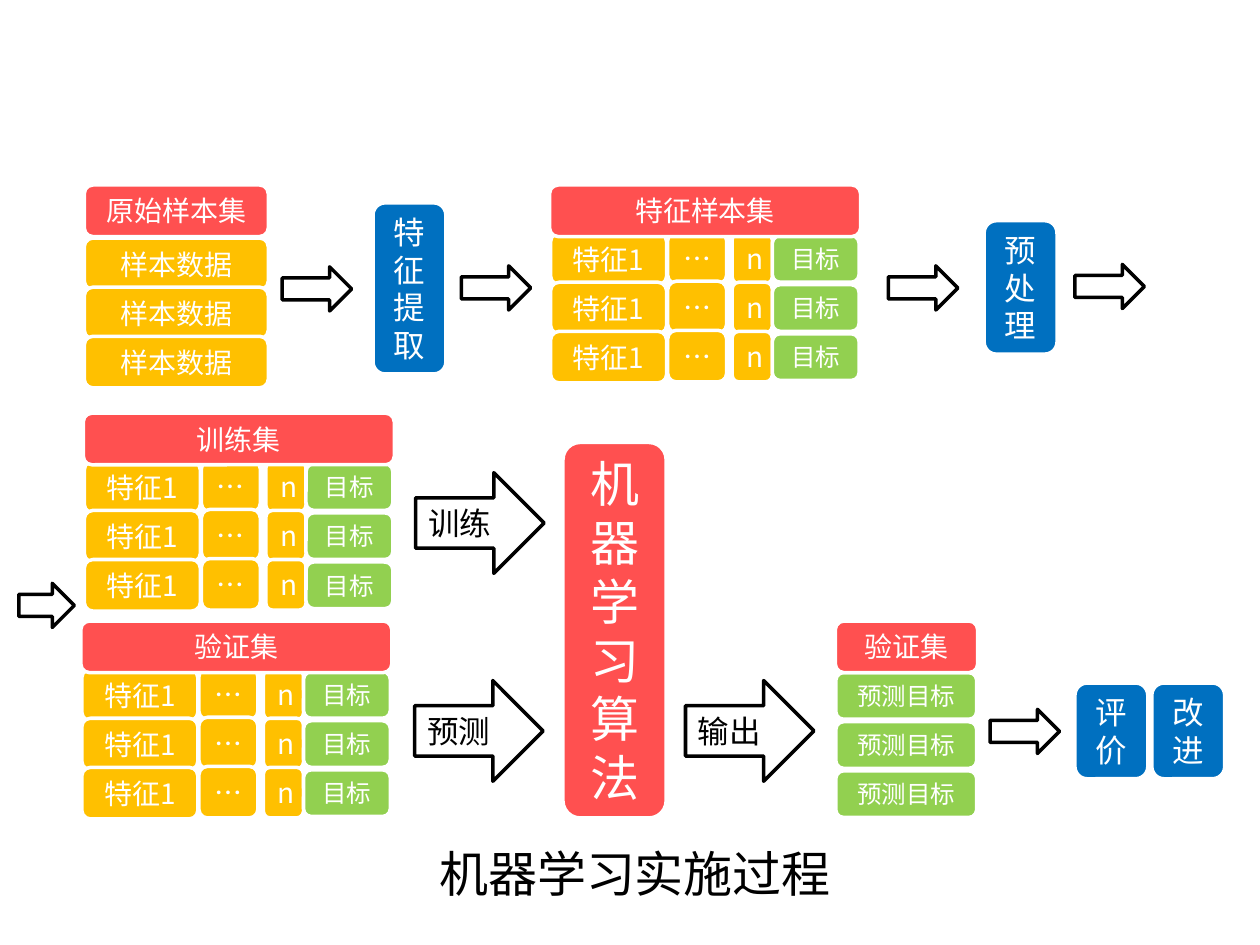
from pptx import Presentation
from pptx.dml.color import RGBColor
from pptx.enum.shapes import MSO_SHAPE as Preset
from pptx.enum.text import MSO_ANCHOR as Anchor, PP_ALIGN as Align
from pptx.oxml.ns import qn
from pptx.util import Cm, Pt
from lxml.etree import SubElement

RED = RGBColor(0xFF, 0x50, 0x50)
ORANGE = RGBColor(0xFF, 0xC0, 0x00)
GREEN = RGBColor(0x92, 0xD0, 0x50)
BLUE = RGBColor(0x00, 0x70, 0xC0)
WHITE = RGBColor(0xFF, 0xFF, 0xFF)
BLACK = RGBColor(0x00, 0x00, 0x00)

FEATURE_COLUMNS = [
    ("特征1", ORANGE, 16, 0.02, 0.97, 2.34, 1.04),
    ("…", ORANGE, 16, 2.38, 0.95, 1.19, 1.04),
    ("n", ORANGE, 16, 3.68, 0.97, 0.81, 1.02),
    ("目标", GREEN, 14, 4.49, 1.02, 1.75, 0.94),
]
SAMPLE_COLUMNS = [("样本数据", ORANGE, 16, 0, 1.07, 3.71, 1.04)]
RESULT_COLUMNS = [("预测目标", GREEN, 14, 0.01, 1.04, 2.84, 0.94)]


class FlowSlide:
    font_name = "Noto Sans CJK SC"
    line_width = Pt(2)
    line_height = 1.2
    row_count = 3
    row_pitch = 0.99
    header_height = 1.04

    def __init__(self, slide):
        self.slide = slide

    def label(self, shape, text, size, color, align=Align.CENTER, font_name=font_name):
        paragraph = shape.text_frame.paragraphs[0]
        paragraph.alignment = align
        paragraph.line_spacing = Pt(size * self.line_height)
        run = paragraph.add_run()
        run.text = text
        run.font.size = Pt(size)
        run.font.name = font_name
        run.font.color.rgb = color
        east_asian = SubElement(run.font._element, qn("a:ea"))
        east_asian.set("typeface", self.font_name)

    def outline(self, preset, left, top, width, height, fill, line):
        shape = self.slide.shapes.add_shape(
            preset, Cm(left), Cm(top), Cm(width), Cm(height))
        shape.shadow.inherit = False
        shape.fill.solid()
        shape.fill.fore_color.rgb = fill
        shape.line.color.rgb = line
        shape.line.width = self.line_width
        shape.text_frame.word_wrap = True
        shape.text_frame.vertical_anchor = Anchor.MIDDLE
        return shape

    def box(self, text, fill, size, left, top, width, height):
        shape = self.outline(
            Preset.ROUNDED_RECTANGLE, left, top, width, height, fill, WHITE)
        self.label(shape, text, size, WHITE)

    def arrow(self, left, top, width=1.4, height=0.89, text=None):
        shape = self.outline(
            Preset.RIGHT_ARROW, left, top, width, height, WHITE, BLACK)
        if text:
            self.label(shape, text, 18, BLACK, Align.LEFT, "Arial")

    def data_set(self, title, left, top, width, columns):
        for row in range(self.row_count):
            for text, fill, size, dx, dy, cell_width, cell_height in columns:
                self.box(text, fill, size, left + dx,
                         top + dy + row * self.row_pitch, cell_width, cell_height)
        self.box(title, RED, 16, left, top, width, self.header_height)

    def caption(self, text, left, top, width, height):
        shape = self.slide.shapes.add_textbox(
            Cm(left), Cm(top), Cm(width), Cm(height))
        shape.text_frame.word_wrap = False
        self.label(shape, text, 28, BLACK)


def main():
    presentation = Presentation()
    presentation.slide_width = Cm(25.4)
    presentation.slide_height = Cm(19.05)
    flow = FlowSlide(presentation.slides.add_slide(presentation.slide_layouts[6]))

    flow.data_set("原始样本集", 1.7, 3.73, 3.71, SAMPLE_COLUMNS)
    for title, left, top in [("特征样本集", 11.08, 3.73),
                             ("训练集", 1.68, 8.33),
                             ("验证集", 1.63, 12.52)]:
        flow.data_set(title, left, top, 6.27, FEATURE_COLUMNS)
    flow.data_set("验证集", 16.84, 12.52, 2.87, RESULT_COLUMNS)

    for text, left, top, height in [("特征提取", 7.52, 4.09, 3.45),
                                    ("预处理", 19.84, 4.45, 2.69),
                                    ("评价", 21.67, 13.77, 1.93),
                                    ("改进", 23.22, 13.77, 1.93)]:
        flow.box(text, BLUE, 18, left, top, 1.47, height)
    flow.box("机器学习算法", RED, 28, 11.35, 8.92, 2.08, 7.57)

    for left, top in [(5.69, 5.38), (9.3, 5.36), (17.91, 5.36),
                      (21.67, 5.33), (19.96, 14.3)]:
        flow.arrow(left, top)
    flow.arrow(0.38, 11.76, width=1.12)
    for text, left, top in [("训练", 8.38, 9.53), ("预测", 8.36, 13.72),
                            ("输出", 13.82, 13.72)]:
        flow.arrow(left, top, 2.59, 2.03, text)

    flow.caption("机器学习实施过程", 8.56, 16.89, 8.48, 1.45)
    presentation.save("out.pptx")


if __name__ == "__main__":
    main()
